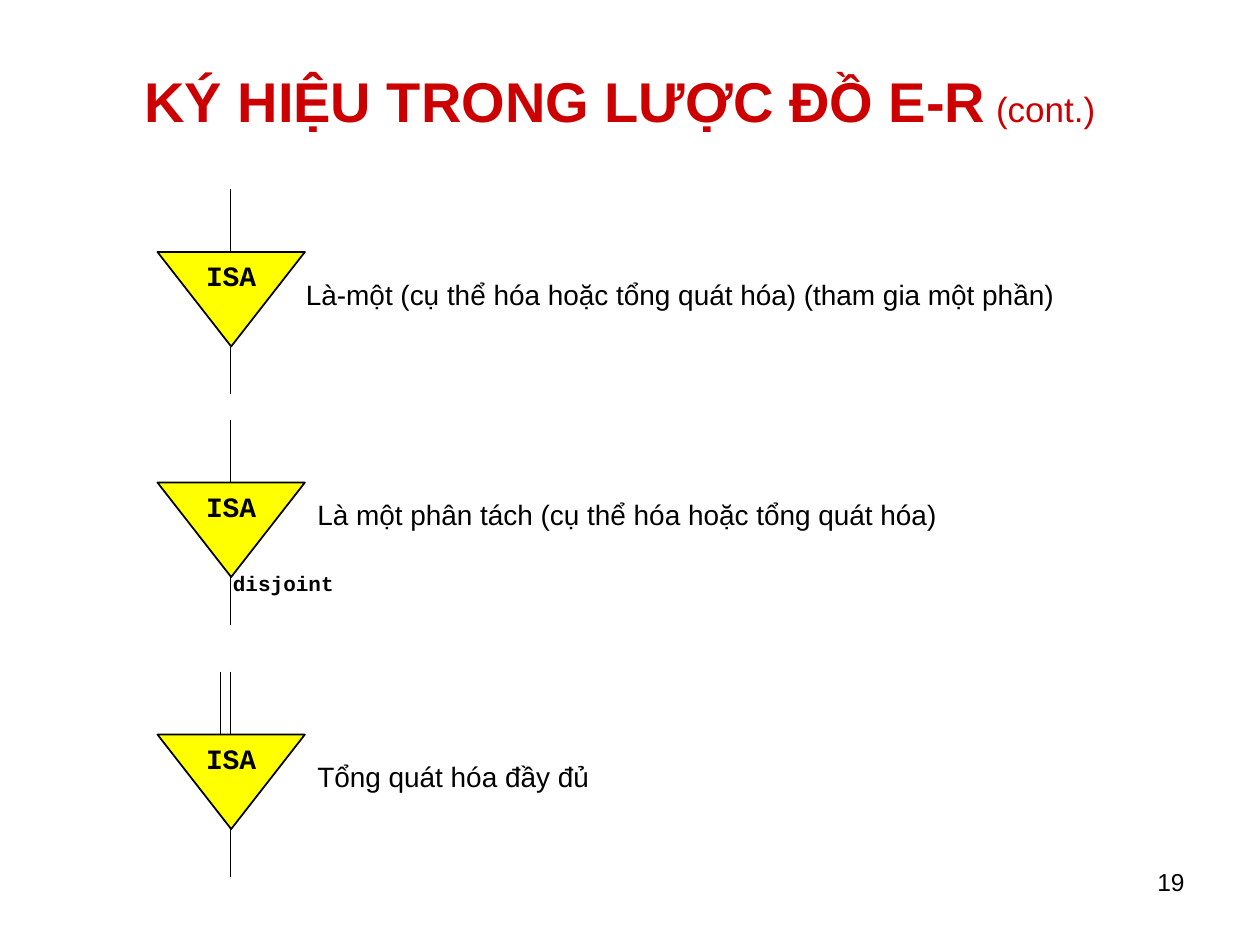
"""Builds the slide of ISA symbols used in E-R diagrams."""
from pptx import Presentation
from pptx.dml.color import RGBColor
from pptx.enum import shapes, text
from pptx.oxml.ns import qn
from pptx.util import Inches, Pt
from lxml import etree

COLORS = {"title": "CC0000", "ink": "000000", "triangle": "FFFF00"}
TITLE = [("KÝ HIỆU TRONG LƯỢC ĐỒ E-R", 32, True), (" (cont.)", 20, False)]
SYMBOLS = [
    {"top": 1.5, "stems": [1.83], "label": "Là-một (cụ thể hóa hoặc tổng quát hóa) (tham gia một phần)",
     "label_at": (2.33, 2.17, 6.2, 0.33)},
    {"top": 3.33, "stems": [1.83], "label": "Là một phân tách (cụ thể hóa hoặc tổng quát hóa)",
     "label_at": (2.42, 3.92, 5.2, 0.33), "note": "disjoint"},
    {"top": 5.33, "stems": [1.75, 1.83], "label": "Tổng quát hóa đầy đủ",
     "label_at": (2.42, 6, 2.4, 0.33)},
]
PAGE_NUMBER = "19"
CENTER, TRIANGLE_LEFT = 1.83, 1.25
TRIANGLE_WIDTH, TRIANGLE_HEIGHT = 1.17, 0.75
STEM_ABOVE, STEM_BELOW = 0.5, 0.38


def color(name):
    return RGBColor.from_string(COLORS[name])


def style(span, size, font="Arial", bold=False, ink="ink"):
    span.font.size, span.font.name, span.font.bold = Pt(size), font, bold
    span.font.color.rgb = color(ink)


def write(shape, words, size, align, font="Arial", bold=False, wrap=False, anchor=text.MSO_ANCHOR.MIDDLE):
    frame = shape.text_frame
    frame.text = words
    frame.word_wrap, frame.vertical_anchor = wrap, anchor
    para = frame.paragraphs[0]
    para.alignment = align
    style(para.runs[0], size, font, bold)


def add_text(page, words, place, size, align=text.PP_ALIGN.LEFT, **options):
    box = page.shapes.add_textbox(*map(Inches, place))
    write(box, words, size, align, **options)


def add_stem(page, x, top, bottom):
    stem = page.shapes.add_connector(shapes.MSO_CONNECTOR.STRAIGHT, *map(Inches, (x, top, x, bottom)))
    stem.line.color.rgb = color("ink")
    stem.line.width = Pt(0.75)
    etree.SubElement(stem._element.spPr, qn("a:effectLst"))


def add_triangle(page, top):
    triangle = page.shapes.add_shape(
        shapes.MSO_SHAPE.ISOSCELES_TRIANGLE,
        *map(Inches, (TRIANGLE_LEFT, top, TRIANGLE_WIDTH, TRIANGLE_HEIGHT)))
    triangle.shadow.inherit = False
    triangle.fill.solid()
    triangle.fill.fore_color.rgb = color("triangle")
    triangle.line.color.rgb = color("ink")
    triangle.line.width = Pt(1)
    write(triangle, "ISA", 16, text.PP_ALIGN.CENTER, font="Courier New", bold=True)
    triangle._element.spPr.find(qn("a:xfrm")).set("flipV", "1")
    triangle._element.txBody.find(qn("a:bodyPr")).set("rot", "10800000")


def add_symbol(page, symbol):
    top = symbol["top"] + STEM_ABOVE
    tip = top + TRIANGLE_HEIGHT
    for x in symbol["stems"]:
        add_stem(page, x, symbol["top"], top)
    add_stem(page, CENTER, tip, tip + STEM_BELOW)
    add_triangle(page, top)
    add_text(page, symbol["label"], symbol["label_at"], 16, wrap=True)
    if "note" in symbol:
        add_text(page, symbol["note"], (1.75, tip - 0.08, 1.25, 0.25), 12, font="Courier New", bold=True)


def add_title(page):
    title = page.shapes.title
    title.left, title.top, title.width, title.height = map(Inches, (0.42, 0.17, 9, 1.25))
    title.text_frame.vertical_anchor = text.MSO_ANCHOR.MIDDLE
    para = title.text_frame.paragraphs[0]
    para.alignment = text.PP_ALIGN.CENTER
    for words, size, bold in TITLE:
        span = para.add_run()
        span.text = words
        style(span, size, bold=bold, ink="title")


def main():
    deck = Presentation()
    deck.slide_width, deck.slide_height = Inches(10), Inches(7.5)
    page = deck.slides.add_slide(deck.slide_layouts[5])
    add_title(page)
    for symbol in SYMBOLS:
        add_symbol(page, symbol)
    add_text(page, PAGE_NUMBER, (7.17, 6.83, 2.33, 0.52), 14, text.PP_ALIGN.RIGHT,
             wrap=True, anchor=text.MSO_ANCHOR.TOP)
    deck.save("out.pptx")


if __name__ == "__main__":
    main()
